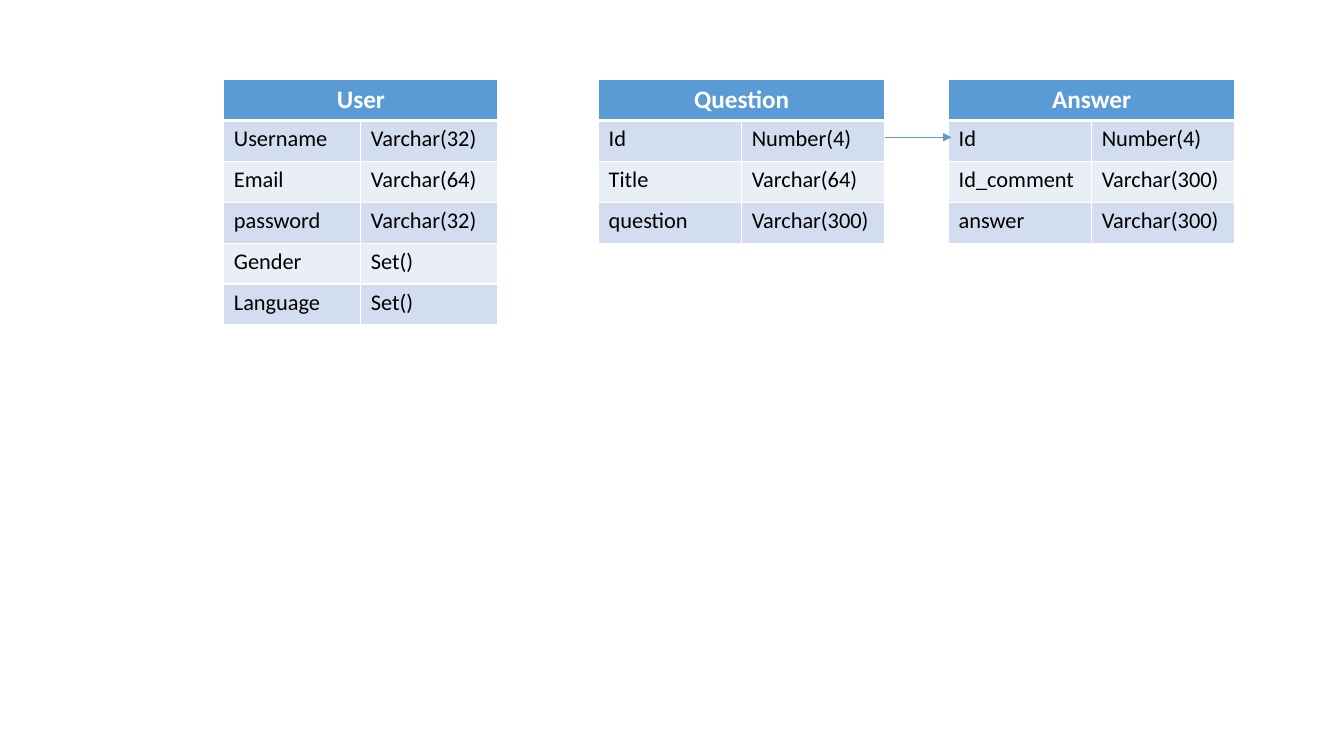
import pptx
import pptx.dml.color
import pptx.enum.shapes
import pptx.enum.text
import pptx.oxml
import pptx.oxml.ns
import pptx.util
from lxml import etree

Pt = pptx.util.Pt
RGBColor = pptx.dml.color.RGBColor

BLUE = RGBColor(0x5B, 0x9B, 0xD5)
BAND_DARK = RGBColor(0xD2, 0xDE, 0xEF)
BAND_LIGHT = RGBColor(0xEA, 0xEF, 0xF7)
WHITE = RGBColor(0xFF, 0xFF, 0xFF)
BLACK = RGBColor(0, 0, 0)

FONT = "Calibri"
TABLE_TOP = 56.9
ROW_HEIGHT = 29.2
THIN, THICK = 1, 3

# Entity name, left edge, column width, fields
ENTITIES = [
    ("User", 159.9, 97.9, [
        ("Username", "Varchar(32)"),
        ("Email", "Varchar(64)"),
        ("password", "Varchar(32)"),
        ("Gender", "Set()"),
        ("Language", "Set()"),
    ]),
    ("Question", 427.6, 102.2, [
        ("Id", "Number(4)"),
        ("Title", "Varchar(64)"),
        ("question", "Varchar(300)"),
    ]),
    ("Answer", 677.6, 102.2, [
        ("Id", "Number(4)"),
        ("Id_comment", "Varchar(300)"),
        ("answer", "Varchar(300)"),
    ]),
]


def set_borders(cell, top=THIN, bottom=THIN):
    """Draw white borders; they come before the fill in the cell properties."""
    properties = cell._tc.get_or_add_tcPr()
    widths = {"lnL": THIN, "lnR": THIN, "lnT": top, "lnB": bottom}
    for position, (side, width) in enumerate(widths.items()):
        border = pptx.oxml.parse_xml(
            f'<a:{side} {pptx.oxml.ns.nsdecls("a")} w="{Pt(width)}">'
            f'<a:solidFill><a:srgbClr val="{WHITE}"/></a:solidFill></a:{side}>'
        )
        properties.insert(position, border)


def fill_cell(cell, fill, text, size, color, bold=False, centered=False):
    cell.fill.solid()
    cell.fill.fore_color.rgb = fill
    paragraph = cell.text_frame.paragraphs[0]
    if centered:
        paragraph.alignment = pptx.enum.text.PP_ALIGN.CENTER
    run = paragraph.add_run()
    run.text = text
    run.font.name = FONT
    run.font.size = Pt(size)
    run.font.bold = bold
    run.font.color.rgb = color


def add_entity(slide, name, left, column_width, fields):
    row_count = len(fields) + 1
    table = slide.shapes.add_table(
        row_count, 2, Pt(left), Pt(TABLE_TOP),
        Pt(2 * column_width), Pt(row_count * ROW_HEIGHT),
    ).table
    for column in table.columns:
        column.width = Pt(column_width)
    for row in table.rows:
        row.height = Pt(ROW_HEIGHT)

    # Header across both columns
    header = table.cell(0, 0)
    header.merge(table.cell(0, 1))
    fill_cell(header, BLUE, name, 18, WHITE, bold=True, centered=True)
    for column_index in range(2):
        set_borders(table.cell(0, column_index), bottom=THICK)

    # Banded field rows
    for row_index, field in enumerate(fields, start=1):
        band = BAND_DARK if row_index % 2 else BAND_LIGHT
        for column_index, text in enumerate(field):
            cell = table.cell(row_index, column_index)
            fill_cell(cell, band, text, 16, BLACK)
            set_borders(cell, top=THICK if row_index == 1 else THIN)


def add_arrow(slide, start_x, end_x, y):
    arrow = slide.shapes.add_connector(
        pptx.enum.shapes.MSO_CONNECTOR.STRAIGHT,
        Pt(start_x), Pt(y), Pt(end_x), Pt(y),
    )
    arrow.line.color.rgb = BLUE
    arrow.line.width = Pt(0.5)
    line = arrow.line._get_or_add_ln()
    etree.SubElement(line, pptx.oxml.ns.qn("a:tailEnd"), type="triangle")
    etree.SubElement(arrow._element.spPr, pptx.oxml.ns.qn("a:effectLst"))


def main():
    presentation = pptx.Presentation()
    presentation.slide_width = Pt(960)
    presentation.slide_height = Pt(540)
    slide = presentation.slides.add_slide(presentation.slide_layouts[6])

    # Entity tables
    for entity in ENTITIES:
        add_entity(slide, *entity)

    # Relation from Question to Answer
    add_arrow(slide, 632, 679.7, 98)

    presentation.save("out.pptx")


main()
